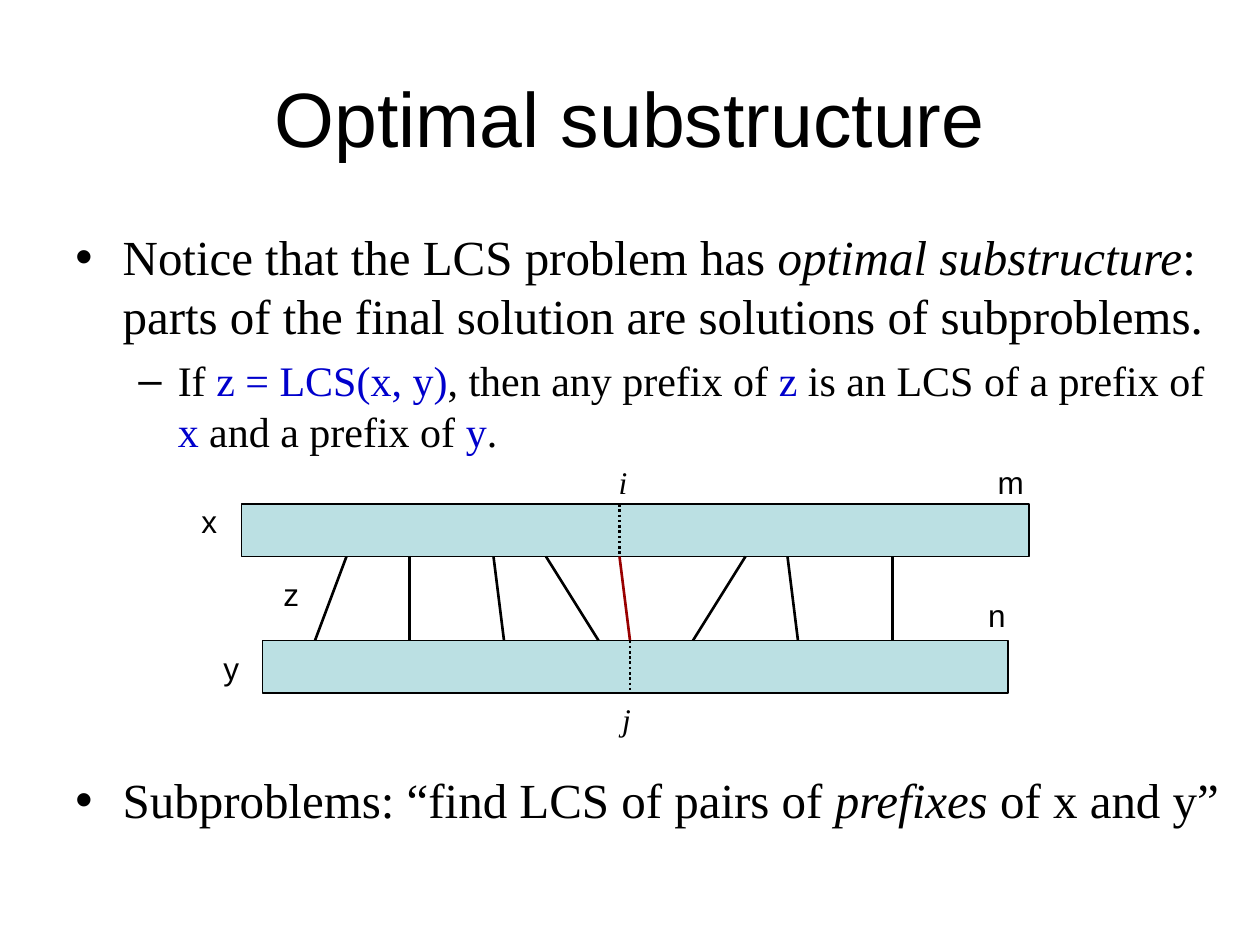
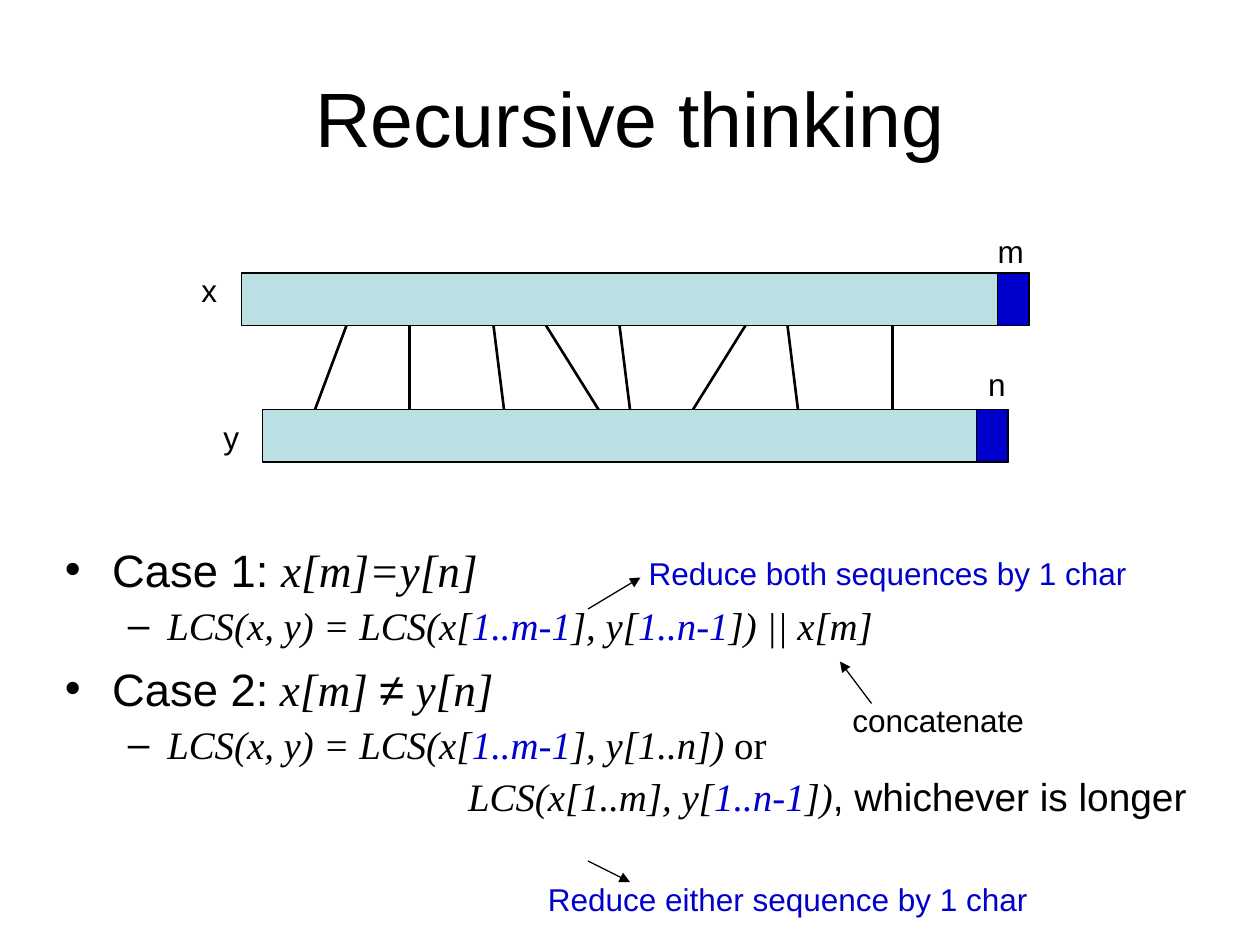
import pptx
import pptx.util
import pptx.dml.color
import pptx.enum.dml
import pptx.enum.shapes
import pptx.enum.text
import pptx.oxml.ns
from dataclasses import dataclass
from lxml import etree

Pt = pptx.util.Pt
qn = pptx.oxml.ns.qn


@dataclass(frozen=True)
class Theme:
    sans: str = "Arial"
    serif: str = "Times New Roman"
    black: str = "000000"
    blue: str = "0000CC"
    red: str = "990000"
    pale: str = "BBE0E3"
    title: float = 44
    head: float = 28
    sub: float = 24
    label: float = 18
    fit: float = 0.925  # scale of the denser body text


T = Theme()

# Matched positions on the lower edge of x and the upper edge of y
LINKS = [(198, 180), (234, 234), (282, 288), (312, 342),
         (354, 360), (426, 396), (450, 456), (510, 510)]
MID = 4  # the link between i and j
BAR = 30  # height of a sequence bar
DROP = 78  # from the top of x to the top of y


def rgb(code):
    return pptx.dml.color.RGBColor.from_string(code)


def style(font, size=None, name=None, color=None, italic=None):
    if size:
        font.size = Pt(size)
    if name:
        font.name = name
    if color:
        font.color.rgb = rgb(color)
    if italic is not None:
        font.italic = italic


# Text
def frame(slide, x, y, w, h, wrap=True):
    text = slide.shapes.add_textbox(Pt(x), Pt(y), Pt(w), Pt(h)).text_frame
    text.word_wrap = wrap
    return text


def title(slide, words):
    text = frame(slide, 36, 21.6, 648, 90)
    text.vertical_anchor = pptx.enum.text.MSO_ANCHOR.MIDDLE
    para = text.paragraphs[0]
    para.text = words
    para.alignment = pptx.enum.text.PP_ALIGN.CENTER
    style(para.font, T.title, T.sans, T.black)


def label(slide, words, x, y, w, color=T.black, name=T.sans, italic=False):
    para = frame(slide, x, y, w, 29, wrap=False).paragraphs[0]
    para.text = words
    style(para.font, T.label, name, color, italic)


def bullet(para, sign):
    props = para._p.get_or_add_pPr()
    tint = etree.SubElement(props, qn("a:buClr"))
    etree.SubElement(tint, qn("a:srgbClr"), val=T.black)
    etree.SubElement(props, qn("a:buFont"), typeface=T.sans)
    etree.SubElement(props, qn("a:buChar"), char=sign)


def indent(para, left, first):
    props = para._p.get_or_add_pPr()
    props.set("marL", str(Pt(left)))
    props.set("indent", str(Pt(first)))


def item(para, runs, size, level=0, gap=0, lead=None, left=None):
    """Runs are (text, marks): i italic, b blue, s sans serif."""
    para.level = level
    para.space_before = Pt(gap)
    if lead:
        para.line_spacing = lead
    if left:
        indent(para, left, 0)
    else:
        indent(para, *[(27, -27), (58.5, -22.5)][level])
        bullet(para, "•–"[level])
    style(para.font, size)
    for words, marks in runs:
        run = para.add_run()
        run.text = words
        style(run.font, name=T.sans if "s" in marks else T.serif,
              color=T.blue if "b" in marks else T.black, italic="i" in marks)


def body(slide, box, items):
    text = frame(slide, *box)
    for k, (runs, opts) in enumerate(items):
        para = text.add_paragraph() if k else text.paragraphs[0]
        item(para, runs, **opts)


# Shapes
def bar(slide, x, y, w, color=T.pale):
    kind = pptx.enum.shapes.MSO_SHAPE.RECTANGLE
    shape = slide.shapes.add_shape(kind, Pt(x), Pt(y), Pt(w), Pt(BAR))
    shape.shadow.inherit = False
    shape.fill.solid()
    shape.fill.fore_color.rgb = rgb(color)
    shape.line.color.rgb = rgb(T.black)
    shape.line.width = Pt(0.75)


def line(slide, x1, y1, x2, y2, color=T.black, width=1.5, dots=False, arrow=False):
    kind = pptx.enum.shapes.MSO_CONNECTOR.STRAIGHT
    link = slide.shapes.add_connector(kind, Pt(x1), Pt(y1), Pt(x2), Pt(y2))
    link.line.color.rgb = rgb(color)
    link.line.width = Pt(width)
    if dots:
        link.line.dash_style = pptx.enum.dml.MSO_LINE.ROUND_DOT
    props = link._element.spPr
    if arrow:
        etree.SubElement(props.find(qn("a:ln")), qn("a:tailEnd"), type="triangle")
    etree.SubElement(props, qn("a:effectLst"))


def match(slide, top, accent=T.black, ends=False):
    """Two sequences, their matched letters and their names."""
    for x, y, w in [(138, top, 450), (150, top + DROP, 426)]:
        bar(slide, x, y, w)
        if ends:
            bar(slide, x + w - 18, y, 18, T.blue)
    for k, (x, y) in enumerate(LINKS):
        color = accent if k == MID else T.black
        line(slide, x, top + BAR, y, top + DROP, color)
    for words, x, y, w in [("x", 108, -4.5, 23), ("y", 120.6, 79.5, 23),
                           ("m", 563, -27, 29.5), ("n", 557.6, 49, 24.5)]:
        label(slide, words, x, top + y, w)


# Slides
def optimal(slide):
    title(slide, "Optimal substructure")
    body(slide, (36, 126, 672, 356.4), [
        ([("Notice that the LCS problem has ", ""), ("optimal substructure", "i"),
          (": parts of the final solution are solutions of subproblems.", "")],
         dict(size=T.head)),
        ([("If ", ""), ("z = LCS(x, y)", "b"), (", then any prefix of ", ""),
          ("z", "b"), (" is an LCS of a prefix of ", ""), ("x", "b"),
          (" and a prefix of ", ""), ("y", "b"), (".", "")],
         dict(size=T.sub, level=1, gap=6)),
        ([("Subproblems: “find LCS of pairs of ", ""), ("prefixes", "i"),
          (" of x and y”", "")], dict(size=T.head, gap=179.5)),
    ])
    top = 288
    match(slide, top, accent=T.red)
    label(slide, "z", 154.8, top + 37, 23)

    # Cut through both sequences at i and j
    for x, y in zip(LINKS[MID], (top, top + DROP)):
        line(slide, x, y, x, y + BAR, dots=True)
    for words, x, y in [("i", 346.5, -27), ("j", 348.5, 108.3)]:
        label(slide, words, x, top + y, 19.4, name=T.serif, italic=True)


def recursive(slide):
    title(slide, "Recursive thinking")
    case = dict(size=round(T.head * T.fit, 1))
    step = dict(size=round(T.sub * T.fit, 1), level=1, gap=6, lead=0.9)
    start = [("LCS(x, y) = LCS(x[", "i"), ("1..m-1", "ib")]
    body(slide, (30, 306, 666, 204), [
        ([("Case 1: ", "s"), ("x[m]=y[n]", "i")], case),
        (start + [("], y[", "i"), ("1..n-1", "ib"), ("]) || x[m]", "i")], step),
        ([("Case 2:", "s"), (" x[m] ", "i"), ("≠", "si"), (" y[n]", "i")],
         dict(case, gap=7)),
        (start + [("], y[1..n]) ", "i"), ("or", "")], step),
        ([("LCS(x[1..m], y[", "i"), ("1..n-1", "ib"), ("])", "i"),
          (", whichever is longer", "s")], dict(step, left=230.4)),
    ])
    match(slide, 156, ends=True)

    # Remarks with their arrows, each box a little wider than its text
    for words, x, y, w, color, ends in [
            ("Reduce both sequences by 1 char", 363.6, 313.2, 292, T.blue,
             (336, 348, 366, 330)),
            ("Reduce either sequence by 1 char", 306, 499.3, 292, T.blue,
             (336, 492, 360, 504)),
            ("concatenate", 480, 397, 116, T.black, (498, 402, 480, 378))]:
        label(slide, words, x, y, w, color)
        line(slide, *ends, width=0.75, arrow=True)


def main():
    deck = pptx.Presentation()
    deck.slide_width, deck.slide_height = Pt(720), Pt(540)
    for build in (optimal, recursive):
        build(deck.slides.add_slide(deck.slide_layouts[6]))
    deck.save("out.pptx")


if __name__ == "__main__":
    main()
